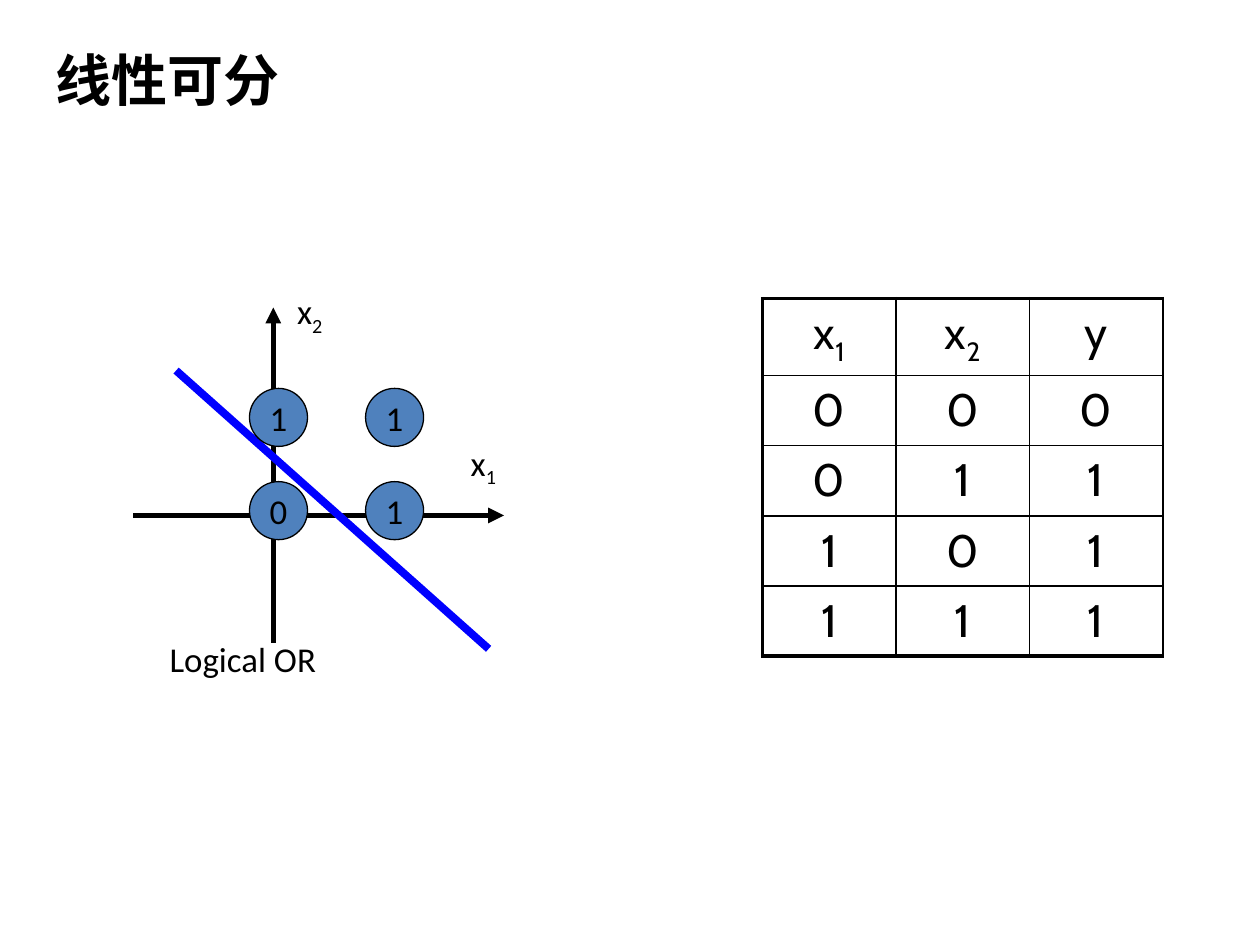
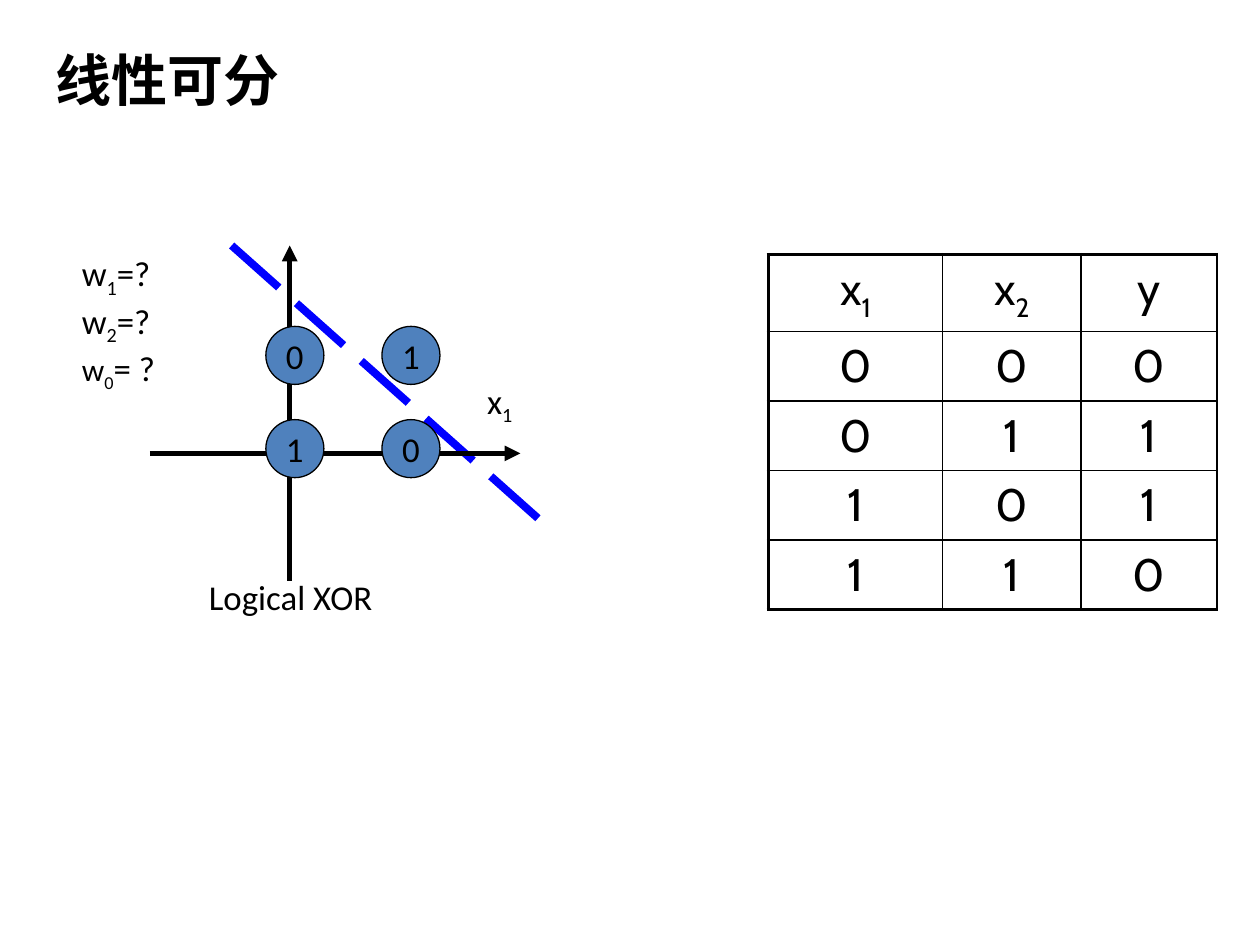
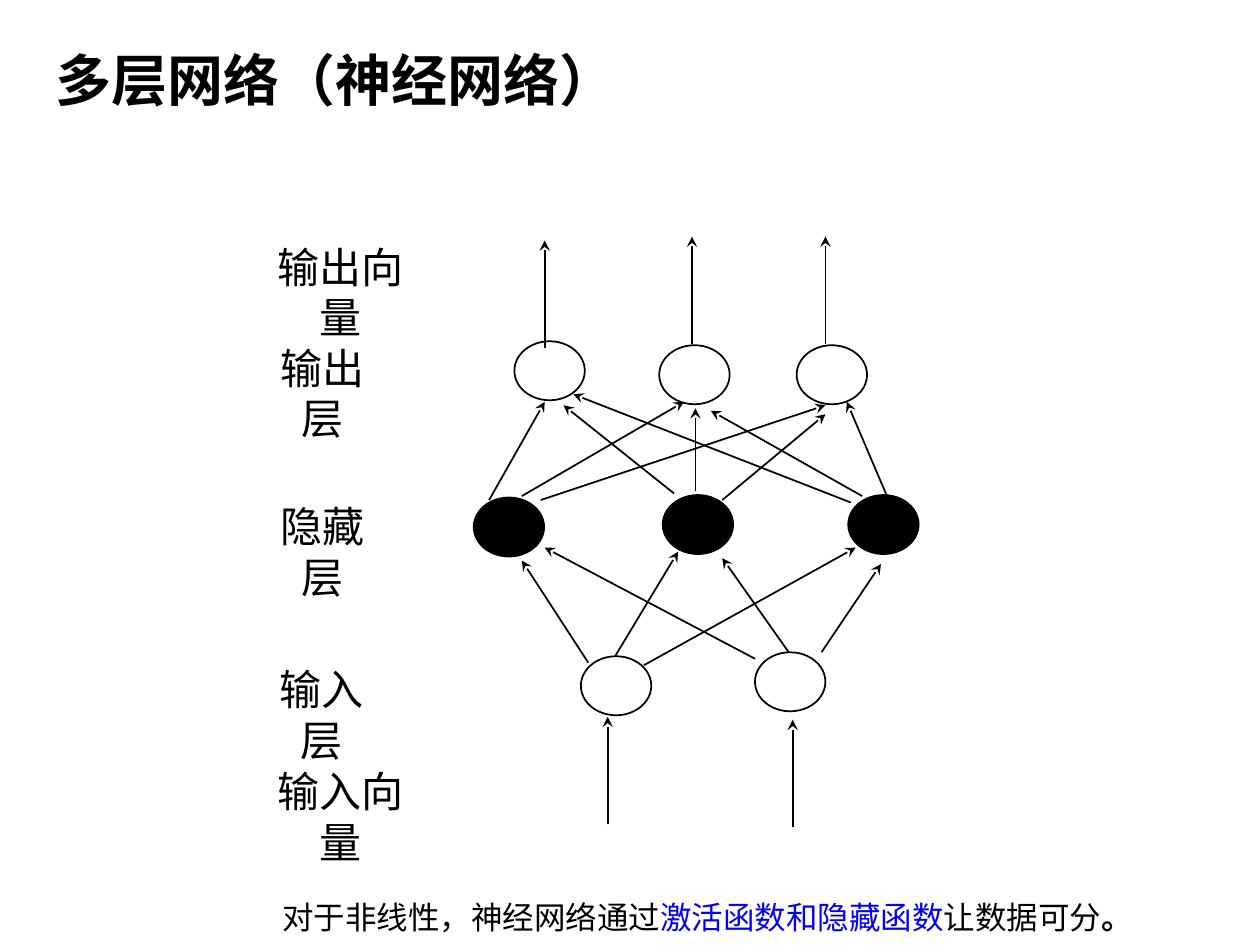
from itertools import product

from lxml import etree
from pptx import Presentation
from pptx.dml.color import RGBColor
from pptx.enum.dml import MSO_LINE
from pptx.enum.shapes import MSO_CONNECTOR, MSO_SHAPE
from pptx.enum.text import MSO_ANCHOR, PP_ALIGN
from pptx.oxml.ns import qn
from pptx.util import Cm, Pt

STRAIGHT = MSO_CONNECTOR.STRAIGHT
OVAL = MSO_SHAPE.OVAL
LONG_DASH = MSO_LINE.LONG_DASH
TOP, MIDDLE = MSO_ANCHOR.TOP, MSO_ANCHOR.MIDDLE
LEFT, CENTER = PP_ALIGN.LEFT, PP_ALIGN.CENTER

COLORS = {"black": "000000", "blue": "0000FF", "node": "4F81BD"}
TITLE = {"name": "Noto Sans CJK SC", "size": Pt(32), "bold": True}
PLOT = {"name": "Calibri", "size": Pt(19.9)}
CELL = {"name": "Cabin", "size": Pt(26)}
LAYER = {"name": "Arial", "size": Pt(24)}
NOTE = {"name": "DejaVu Sans", "size": Pt(18)}
INSETS = {"margin_left": Cm(0.28), "margin_right": Cm(0.28),
          "margin_top": Cm(0.15), "margin_bottom": Cm(0.15)}
SUB = {"baseline": "-25000"}


def rgb(key):
    """Return the palette colour of that name."""
    return RGBColor.from_string(COLORS[key])


def set_attrs(obj, values):
    """Set each named attribute of an object."""
    for name, value in values.items():
        setattr(obj, name, value)


def index(base, number, rest="", fmt=None):
    """Return the runs of a symbol with a subscript."""
    fmt = fmt or {}
    runs = [(base, fmt), (number, {**fmt, **SUB})]
    return runs + [(rest, {})] if rest else runs


def write(p, runs, fmt, align=LEFT):
    """Write formatted runs into a paragraph."""
    p.alignment = align
    for text, extra in [(runs, {})] if isinstance(runs, str) else runs:
        values = {**fmt, **extra}
        color = values.pop("color", "black")
        baseline = values.pop("baseline", None)
        r = p.add_run()
        r.text = text
        set_attrs(r.font, values)
        r.font.color.rgb = rgb(color)
        rPr = r._r.get_or_add_rPr()
        etree.SubElement(rPr, qn("a:ea"), typeface=values["name"])
        if baseline:
            rPr.set("baseline", baseline)


def add_text(s, box, lines, fmt, align=LEFT, **frame):
    """Add a text box with one paragraph for each line."""
    tf = s.shapes.add_textbox(*map(Cm, box)).text_frame
    set_attrs(tf, {"word_wrap": False, "vertical_anchor": TOP, **frame})
    for i, runs in enumerate(lines):
        write(tf.add_paragraph() if i else tf.paragraphs[0], runs, fmt, align)


def add_line(s, start, end, width, color="black", arrow=None, dash=None):
    """Add a straight line, with an optional arrowhead at its end."""
    sp = s.shapes.add_connector(STRAIGHT, *map(Cm, (*start, *end)))
    sp.line.color.rgb = rgb(color)
    sp.line.width = Pt(width)
    if dash:
        sp.line.dash_style = dash
    if arrow:
        etree.SubElement(sp.line._get_or_add_ln(), qn("a:tailEnd"), type=arrow)
    etree.SubElement(sp._element.spPr, qn("a:effectLst"))


def add_node(s, box, fill, width, text=""):
    """Add an outlined ellipse with an optional fill and text."""
    sp = s.shapes.add_shape(OVAL, *map(Cm, box))
    sp.shadow.inherit = False
    if fill:
        sp.fill.solid()
        sp.fill.fore_color.rgb = rgb(fill)
    else:
        sp.fill.background()
    sp.line.color.rgb = rgb("black")
    sp.line.width = Pt(width)
    if text:
        tf = sp.text_frame
        set_attrs(tf, {"word_wrap": False, "vertical_anchor": MIDDLE})
        write(tf.paragraphs[0], text, PLOT, CENTER)


def add_slide(prs, title):
    """Add a slide with its title in place."""
    s = prs.slides.add_slide(prs.slide_layouts[5])
    sp = s.shapes.title
    set_attrs(sp, {"left": 0, "top": 0, "width": Cm(22.86), "height": Cm(3.18)})
    set_attrs(sp.text_frame, {"vertical_anchor": MIDDLE, "margin_left": Cm(1.12)})
    write(sp.text_frame.paragraphs[0], title, TITLE)
    return s


def add_border(tcPr, side, width):
    """Add a black border to one side of a cell."""
    ln = etree.SubElement(tcPr, qn(f"a:ln{side}"), w=str(Pt(width)))
    fill = etree.SubElement(ln, qn("a:solidFill"))
    etree.SubElement(fill, qn("a:srgbClr"), val=COLORS["black"])


def truth_table(s, left, top, widths, outputs):
    """Add the truth table of a logical function of two inputs."""
    rows = [[index("x", "1"), index("x", "2"), "y"]]
    rows += [[a, b, y] for (a, b), y in zip(product("01", repeat=2), outputs)]
    row_h = 1.4
    box = (left, top, sum(widths), row_h * len(rows))
    table = s.shapes.add_table(len(rows), len(widths), *map(Cm, box)).table
    for col, width in zip(table.columns, widths):
        col.width = Cm(width)
    for i, row in enumerate(rows):
        table.rows[i].height = Cm(row_h)
        for j, runs in enumerate(row):
            cell = table.cell(i, j)
            set_attrs(cell, INSETS)
            outer = {"L": j == 0, "R": False, "T": i == 0, "B": i == len(rows) - 1}
            for side, thick in outer.items():
                add_border(cell._tc.get_or_add_tcPr(), side, 2.25 if thick else 1)
            cell.fill.background()
            write(cell.text_frame.paragraphs[0], runs, CELL, CENTER)


def logic_plot(s, left, top, values, boundary, caption, caption_box,
               dash=None, x2_label=True):
    """Draw the four inputs on two axes with a boundary and a caption."""
    def at(x, y):
        return left + x, top + y

    def axes():
        add_line(s, at(2.82, 7.24), at(2.82, 0.48), 3, arrow="triangle")
        add_line(s, at(0, 4.67), at(7.47, 4.67), 3, arrow="triangle")

    def separator():
        x, y = boundary
        add_line(s, at(x, y), at(x + 6.3, y + 5.61), 4.5, "blue", dash=dash)

    for draw in (separator, axes) if dash else (axes, separator):
        draw()
    add_text(s, (*at(6.55, 3.05), 1.07, 1.12), [index("x", "1")], PLOT)
    if x2_label:
        add_text(s, (*at(3.05, 0), 1.07, 1.12), [index("x", "2")], PLOT)
    for (row, col), value in zip(product(range(2), repeat=2), values):
        pos = at(2.34 + 2.34 * col, 2.11 + 1.88 * row)
        add_node(s, (*pos, 1.17, 1.17), "node", 0.75, value)
    x, width = caption_box
    add_text(s, (*at(x, 7.01), width, 1.12), [caption], PLOT)


def network(s, left, top):
    """Draw the layers, their links and their labels."""
    layers = [
        (None, [(5.44, 2.16), (8.36, 2.24), (11.13, 2.24)]),
        ("black", [(4.62, 5.31), (8.43, 5.26), (12.17, 5.26)]),
        (None, [(6.78, 8.51), (10.29, 8.43)]),
    ]
    input_to_hidden = [
        (6.93, 8.64, 5.59, 6.58), (7.47, 8.51, 8.74, 6.4),
        (8.05, 8.69, 12.32, 6.32), (10.29, 8.56, 6.05, 6.32),
        (10.97, 8.43, 9.63, 6.53), (11.63, 8.43, 12.83, 6.65),
    ]
    hidden_to_output = [
        (4.93, 5.36, 6.05, 3.38), (5.59, 5.28, 8.86, 3.38),
        (5.97, 5.36, 11.71, 3.45), (12.22, 5.41, 6.63, 3.23),
        (12.95, 5.28, 12.14, 3.38), (12.45, 5.28, 9.4, 3.56),
        (8.66, 5.23, 6.43, 3.45), (9.09, 5.18, 9.09, 3.51),
        (9.63, 5.36, 11.71, 3.63),
    ]
    vectors = [(x, y, x, y - 2.17) for x, y in
               [(7.32, 11.9), (11.05, 11.96), (6.05, 2.3), (9.02, 2.22), (11.71, 2.22)]]
    labels = [
        ("输出向量", 0, 0, 3.86), ("输出层", 0.05, 2.03, 3.05),
        ("隐藏层", 0.05, 5.23, 3.05), ("输入层", 0.03, 8.51, 3.05),
        ("输入向量", 0, 10.57, 3.86),
    ]
    for fill, nodes in layers:
        for x, y in nodes:
            add_node(s, (left + x, top + y, 1.42, 1.19), fill, 1)
    for x1, y1, x2, y2 in input_to_hidden + hidden_to_output + vectors:
        add_line(s, (left + x1, top + y1), (left + x2, top + y2), 1, arrow="stealth")
    for text, x, y, width in labels:
        add_text(s, (left + x, top + y, width, 1.32), [text], LAYER, CENTER,
                 word_wrap=True, **INSETS)


def or_slide(prs):
    """Build the slide on logical OR."""
    s = add_slide(prs, "线性可分")
    truth_table(s, 15.37, 6.02, [2.69] * 3, "0111")
    logic_plot(s, 2.69, 5.72, "1101", (0.86, 1.75), "Logical OR", (0.48, 3.48))


def xor_slide(prs):
    """Build the slide on logical XOR."""
    s = add_slide(prs, "线性可分")
    logic_plot(s, 3.02, 4.47, "0110", (1.65, 0.48), "Logical XOR", (0.94, 3.84),
               dash=LONG_DASH, x2_label=False)
    weights = [index("w", "1", "=?"), index("w", "2", "=?"),
               index("w", "0", "= ?", {"size": Pt(18)})]
    add_text(s, (1.4, 4.95, 2.11, 2.82), weights, PLOT)
    truth_table(s, 15.49, 5.13, [3.51, 2.79, 2.74], "0110")


def network_slide(prs):
    """Build the slide on multilayer networks."""
    s = add_slide(prs, "多层网络（神经网络）")
    network(s, 4.93, 4.72)
    note = [("对于非线性，神经网络通过", {}), ("激活函数和隐藏函数", {"color": "blue"}),
            ("让数据可分", {}), ("。", {"name": "Noto Sans CJK SC", "bold": True})]
    add_text(s, (5.44, 17.98, 18.36, 1.02), [note], NOTE, word_wrap=True)


def main():
    """Build and save the presentation."""
    prs = Presentation()
    set_attrs(prs, {"slide_width": Cm(25.4), "slide_height": Cm(19.05)})
    for build in (or_slide, xor_slide, network_slide):
        build(prs)
    prs.save("out.pptx")


if __name__ == "__main__":
    main()
